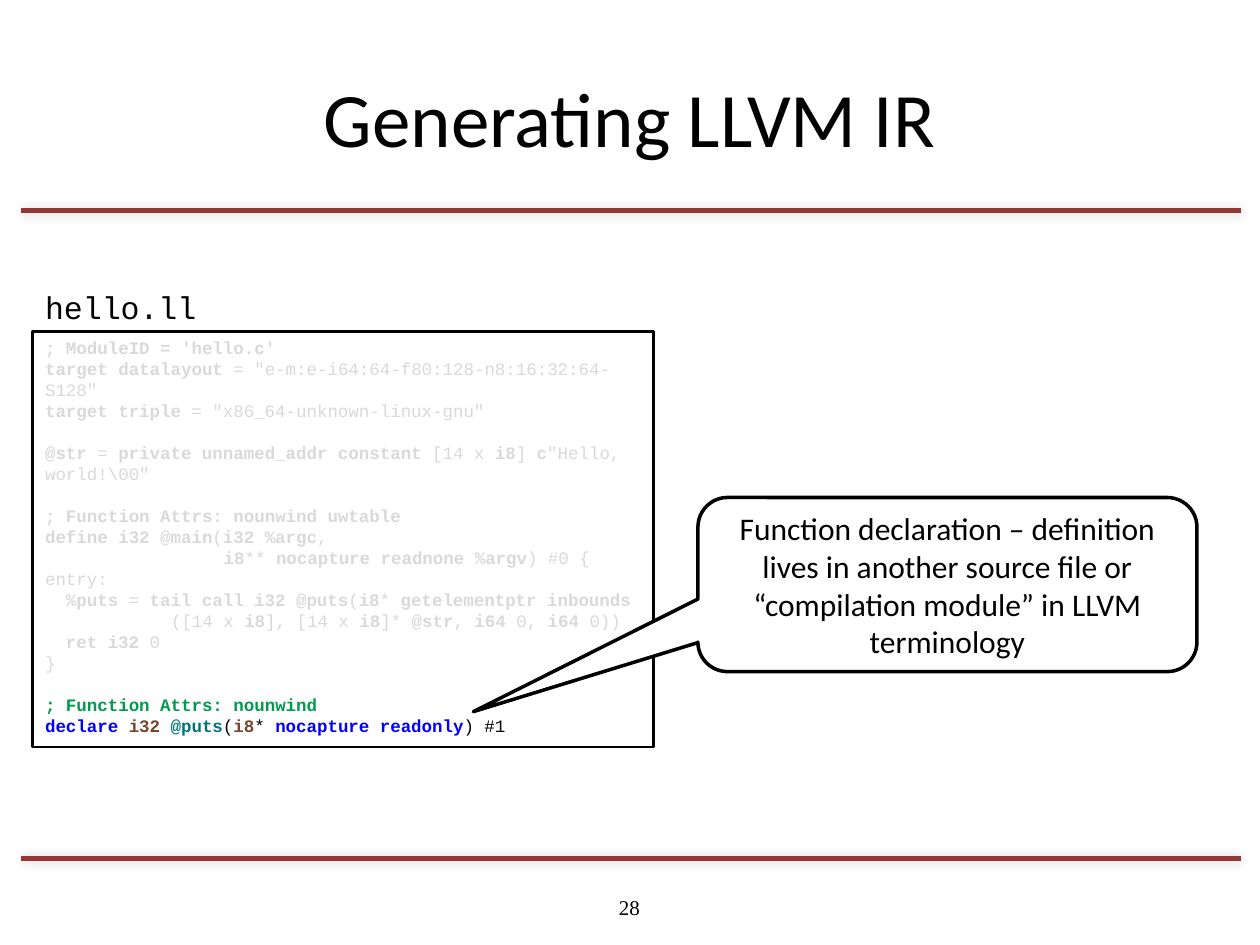
from lxml import etree
from pptx import Presentation, util as u
from pptx.dml.color import RGBColor
from pptx.enum import shapes, text
from pptx.oxml.ns import qn

Cm, Pt = u.Cm, u.Pt
hue = RGBColor.from_string
MID, LEFT = text.PP_ALIGN.CENTER, text.PP_ALIGN.LEFT

deck = Presentation()
deck.slide_width, deck.slide_height = Cm(25.4), Cm(19.05)
slide = deck.slides.add_slide(deck.slide_layouts[6])
items = slide.shapes


def style(par, face, size, align=LEFT):
    par.alignment = align
    par.font.name, par.font.size = face, Pt(size)
    par.font.color.rgb = hue("000000")


def label(box, words, face, size, align=MID, anchor=text.MSO_ANCHOR.MIDDLE):
    frame = box.text_frame
    frame.word_wrap = True
    frame.vertical_anchor = anchor
    frame.text = words
    style(frame.paragraphs[0], face, size, align)


# Red rules with a soft shadow
for y in (17.3, 4.24):
    rule = items.add_connector(shapes.MSO_CONNECTOR.STRAIGHT,
                               Cm(0.43), Cm(y), Cm(25.02), Cm(y))
    rule.line.color.rgb = hue("953735")
    rule.line.width = Pt(3)
    glow = etree.SubElement(rule._element.spPr, qn("a:effectLst"))
    shade = etree.SubElement(glow, qn("a:outerShdw"),
                             blurRad=str(Pt(6)), dist="0", dir="13500000")
    tint = etree.SubElement(shade, qn("a:srgbClr"), val="000000")
    etree.SubElement(tint, qn("a:alpha"), val="20000")

# Title and page number
title = items.add_textbox(Cm(1.27), Cm(0.76), Cm(22.86), Cm(3.18))
label(title, "Generating LLVM IR", "Calibri", 44)
page = items.add_textbox(Cm(9.73), Cm(17.78), Cm(5.92), Cm(1.02))
label(page, "28", "Times New Roman", 12)

# Code listing: backticks switch bold; (indent in cm, blank line above, code)
code = [
    (0, 0, "`; ModuleID = 'hello.c'"),
    (0, 0, '`target datalayout` = "e-m:e-i64:64-f80:128-n8:16:32:64-S128"'),
    (0, 0, '`target triple` = "x86_64-unknown-linux-gnu"'),
    (0, 1, '`@str` = `private unnamed_addr constant` [14 x `i8`] `c`'
           r'"Hello, world!\00"'),
    (0, 1, "`; Function Attrs: nounwind uwtable"),
    (0, 0, "`define i32 @main`(`i32 %argc`,"),
    (3.6, 0, "`i8`** `nocapture readnone %argv`) #0 {"),
    (0, 0, "entry:"),
    (0.42, 0, "`%puts` = `tail call i32 @puts`(`i8`* `getelementptr inbounds"),
    (2.54, 0, "([14 x `i8`], [14 x `i8`]* `@str`, `i64` 0, `i64` 0))"),
    (0.42, 0, "`ret i32` 0"),
    (0, 0, "}"),
    (0, 1, "`; Function Attrs: nounwind"),
    (0, 0, "`declare` `i32` `@puts`(`i8`* `nocapture` `readonly`) #1"),
]
live = len(code) - 2  # the last two lines keep their colours
inks = {"; Function Attrs: nounwind": "009B4E", "declare": "0000FF",
        "i32": "77442F", "@puts": "007575", "i8": "77442F",
        "nocapture": "0000FF", "readonly": "0000FF"}

pane = items.add_shape(shapes.MSO_SHAPE.RECTANGLE,
                       Cm(0.66), Cm(6.68), Cm(12.52), Cm(8.38))
pane.shadow.inherit = False
pane.fill.background()
pane.line.color.rgb = hue("000000")
pane.line.width = Pt(1.5)
frame = pane.text_frame
frame.word_wrap = True
frame.vertical_anchor = text.MSO_ANCHOR.TOP
for row, (dent, gap, line) in enumerate(code):
    par = frame.add_paragraph() if row else frame.paragraphs[0]
    style(par, "Courier New", 10)
    par.line_spacing = Pt(12)
    par.space_before = Pt(12 * gap)
    par._p.get_or_add_pPr().set("marL", str(Cm(dent)))
    for turn, part in enumerate(line.split("`")):
        if part:
            run = par.add_run()
            run.text = part
            run.font.bold = turn % 2 == 1
            ink = inks.get(part, "000000") if row >= live else "D9D9D9"
            run.font.color.rgb = hue(ink)

# File name
name = items.add_textbox(Cm(0.66), Cm(5.69), Cm(4.11), Cm(1.04))
label(name, "hello.ll", "Courier New", 18, LEFT, text.MSO_ANCHOR.TOP)

# Callout pointing at the declaration
note = items.add_shape(shapes.MSO_SHAPE.ROUNDED_RECTANGULAR_CALLOUT,
                       Cm(14.07), Cm(10.03), Cm(10.06), Cm(3.51))
note.shadow.inherit = False
note.fill.solid()
note.fill.fore_color.rgb = hue("FFFFFF")
note.line.color.rgb = hue("000000")
note.line.width = Pt(2)
for spot, size in enumerate((-0.95, 0.73, 0.17)):
    note.adjustments[spot] = size
label(note, "Function declaration – definition lives in another source file or "
      "“compilation module” in LLVM terminology", "Calibri", 18)

deck.save("out.pptx")
